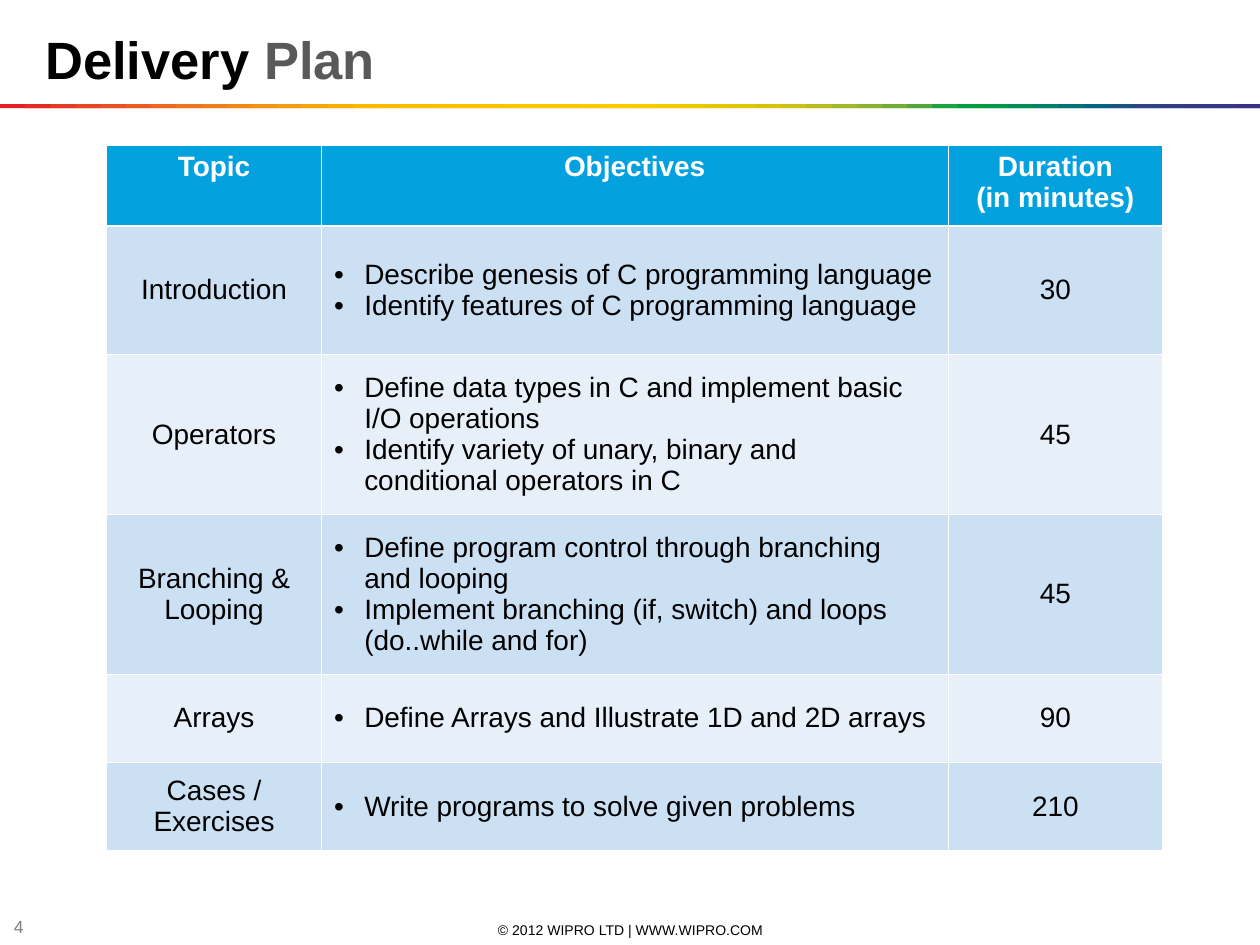
from lxml import etree
from pptx import Presentation, util as u
from pptx.dml.color import RGBColor
from pptx.enum import shapes, text
from pptx.oxml.ns import qn

WIDTH, HEIGHT = 25.4, 19.05
RAINBOW = """
E31E24 E42C24 E53A24 E74623 E85122 EA5D21 EC691F EE741D EF7E1A F18817
F39314 F49C0F F6A607 F8B002 FBBA00 FBBB00 FBBD00 FCBF00 FCC000 FCC200
FDC400 FDC600 FDC700 FEC900 FECB00 FBCB00 F3CA00 ECC800 E4C602 DCC50A
D5C30E CCC117 B8BC21 A3B829 8CB230 71AD36 51A73B 1DA240 009D43 009846
008C57 008068 007275 00637F 185384 2E4285 313E85 333B85 353885 393185
""".split()
HEADER_FILL, ROW_FILLS = "03A2DF", ("CBE0F3", "E7F0F9")
COLUMNS = (4.33, 12.63, 4.33)
ROW_HEIGHTS = (1.62, 2.6, 3.22, 3.22, 1.78, 1.78)
HEADER = (["Topic"], ["Objectives"], ["Duration", "(in minutes)"])
PLAN = (
    ("Introduction", ["Describe genesis of C programming language",
                      "Identify features of C programming language"], 30),
    ("Operators", ["Define data types in C and implement basic I/O operations",
                   "Identify variety of unary, binary and conditional operators in C"], 45),
    ("Branching & Looping", ["Define program control through branching and looping",
                             "Implement branching (if, switch) and loops (do..while and for)"], 45),
    ("Arrays", ["Define Arrays and Illustrate 1D and 2D arrays"], 90),
    ("Cases / Exercises", ["Write programs to solve given problems"], 210),
)
CENTER, LEFT = text.PP_ALIGN.CENTER, text.PP_ALIGN.LEFT
MIDDLE, TOP = text.MSO_ANCHOR.MIDDLE, text.MSO_ANCHOR.TOP


def rgb(value):
    return RGBColor.from_string(value)


def add_run(p, content, size=16, color="000000", bold=False):
    r = p.add_run()
    r.text = content
    r.font.name, r.font.size, r.font.bold = "Arial", u.Pt(size), bold
    r.font.color.rgb = rgb(color)


def add_bullet(p):
    pPr = p._p.get_or_add_pPr()
    pPr.set("marL", str(u.Cm(0.61)))
    pPr.set("indent", str(-u.Cm(0.61)))
    etree.SubElement(pPr, qn("a:buFont"), typeface="Arial")
    etree.SubElement(pPr, qn("a:buChar"), char="•")


def fill_text(tf, lines, align=LEFT, bullets=False, **fmt):
    for i, line in enumerate(lines):
        p = tf.add_paragraph() if i else tf.paragraphs[0]
        p.alignment = align
        if bullets:
            add_bullet(p)
        add_run(p, line, **fmt)


def add_label(s, box, content, **fmt):
    tf = s.shapes.add_textbox(*map(u.Cm, box)).text_frame
    tf.word_wrap, tf.vertical_anchor = True, MIDDLE
    fill_text(tf, [content], **fmt)


def set_borders(cell, **widths):
    tcPr = cell._tc.get_or_add_tcPr()
    for side in "LRTB":
        ln = etree.SubElement(tcPr, qn("a:ln" + side), w=str(u.Pt(widths.get(side, 0.45))))
        solid = etree.SubElement(ln, qn("a:solidFill"))
        etree.SubElement(solid, qn("a:srgbClr"), val="FFFFFF")


def fill_cell(cell, lines, fill, anchor=MIDDLE, borders=None, **fmt):
    set_borders(cell, **(borders or {}))
    cell.fill.solid()
    cell.fill.fore_color.rgb = rgb(fill)
    cell.vertical_anchor = anchor
    fill_text(cell.text_frame, lines, **fmt)


def add_title(s):
    title = s.shapes.title
    title.left, title.top, title.width, title.height = map(u.Cm, (0.66, 0.41, 23.47, 1.55))
    tf = title.text_frame
    tf.auto_size, tf.vertical_anchor = text.MSO_AUTO_SIZE.NONE, MIDDLE
    p = tf.paragraphs[0]
    p.alignment = LEFT
    add_run(p, "Delivery", size=30, bold=True)
    add_run(p, " Plan", size=30, color="595959", bold=True)


def add_rainbow(s):
    group = s.shapes.add_group_shape()
    step = WIDTH / len(RAINBOW)
    for i, color in enumerate(RAINBOW):
        # Each band runs under the next one, so no gaps appear
        width = min(2 * step, WIDTH - i * step)
        sp = group.shapes.add_shape(shapes.MSO_SHAPE.RECTANGLE, u.Cm(i * step), u.Cm(2.1),
                                    u.Cm(width), u.Cm(0.08))
        sp.shadow.inherit = False
        sp.fill.solid()
        sp.fill.fore_color.rgb = rgb(color)
        sp.line.fill.background()


def add_plan(s):
    frame = s.shapes.add_table(len(PLAN) + 1, len(COLUMNS), u.Cm(2.15), u.Cm(2.93),
                               u.Cm(sum(COLUMNS)), u.Cm(sum(ROW_HEIGHTS)))
    table = frame.table
    table.first_row = table.horz_banding = False
    for column, width in zip(table.columns, COLUMNS):
        column.width = u.Cm(width)
    for row, height in zip(table.rows, ROW_HEIGHTS):
        row.height = u.Cm(height)
    # Header row
    for c, lines in enumerate(HEADER):
        fill_cell(table.cell(0, c), lines, HEADER_FILL, anchor=TOP, borders={"B": 1.47},
                  align=CENTER, color="FFFFFF", bold=True)
    # Topic rows in alternating colours
    for i, (topic, objectives, minutes) in enumerate(PLAN):
        borders = {} if i else {"T": 1.47}
        for c, lines in enumerate(([topic], objectives, [str(minutes)])):
            fill_cell(table.cell(i + 1, c), lines, ROW_FILLS[i % 2], borders=borders,
                      align=LEFT if c == 1 else CENTER, bullets=c == 1)


def main():
    prs = Presentation()
    prs.slide_width, prs.slide_height = u.Cm(WIDTH), u.Cm(HEIGHT)
    s = prs.slides.add_slide(prs.slide_layouts[5])
    # Footer
    add_label(s, (8.69, 18.54, 8.05, 0.41), "© 2012 WIPRO LTD | WWW.WIPRO.COM",
              align=CENTER, size=8)
    add_label(s, (0.03, 18.47, 0.99, 0.41), "4", size=10, color="7F7F7F")
    # Heading and content
    add_rainbow(s)
    add_plan(s)
    add_title(s)
    prs.save("out.pptx")


if __name__ == "__main__":
    main()
